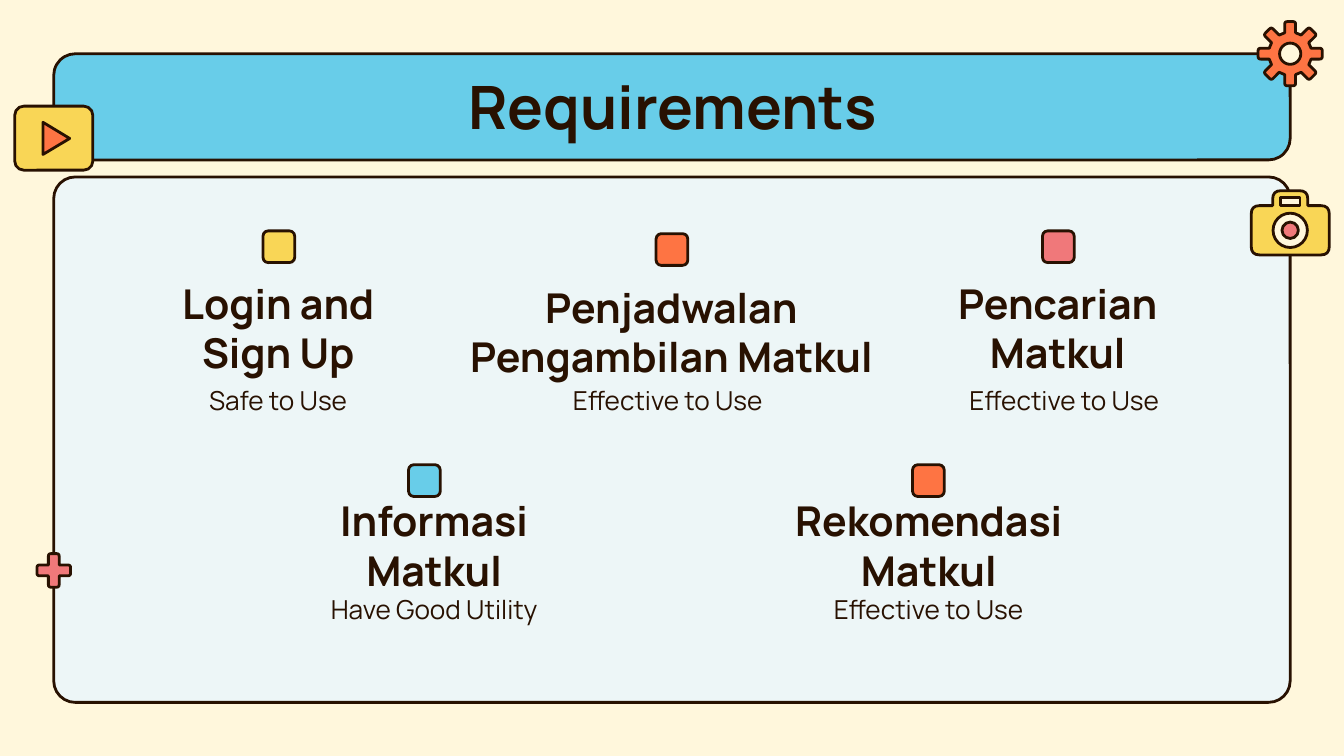
import dataclasses
import math
import pptx
import pptx.dml.color
import pptx.enum.shapes
import pptx.enum.text
import pptx.util

Pt = pptx.util.Pt
Kind = pptx.enum.shapes.MSO_SHAPE
Anchor = pptx.enum.text.MSO_ANCHOR
Points = list[tuple[float, float]]

HUES = {
    "cream": "FFF7DC",
    "mist": "EDF6F7",
    "ink": "281101",
    "sky": "68CDE9",
    "gold": "F9D656",
    "flame": "FE7443",
    "rose": "F0787A",
}
TITLE = {"name": "Manrope", "size": Pt(32), "bold": True}
HEAD = {"name": "Manrope", "size": Pt(22), "bold": True}
NOTE = {"name": "Manrope", "size": Pt(14), "bold": False}
FRAME = {
    "word_wrap": True,
    "auto_size": pptx.enum.text.MSO_AUTO_SIZE.NONE,
    "margin_left": Pt(7.2),
    "margin_right": Pt(7.2),
    "margin_top": Pt(7.2),
    "margin_bottom": Pt(7.2),
}


@dataclasses.dataclass
class Box:
    x: float
    y: float
    wide: float
    high: float

    def ends(self) -> list[int]:
        return [Pt(v) for v in (self.x, self.y, self.wide, self.high)]


@dataclasses.dataclass
class Card:
    hue: str
    chip: tuple[float, float]
    head: str
    place: Box
    note: str
    spot: tuple[float, float]


CARDS = [
    Card("gold", (149.4, 132.2), "Login and Sign Up", Box(67.7, 151.9, 162.7, 46.8),
         "Safe to Use", (149, 214.2)),
    Card("flame", (360, 133.7), "Penjadwalan Pengambilan Matkul", Box(218.9, 149, 281.5, 56.9),
         "Effective to Use", (357.8, 214.2)),
    Card("rose", (567, 132.2), "Pencarian Matkul", Box(485.3, 151.9, 162.7, 46.8),
         "Effective to Use", (570.2, 214.2)),
    Card("sky", (227.4, 257.5), "Informasi Matkul", Box(151.2, 277.2, 162.7, 29.5),
         "Have Good Utility", (232.6, 326.5)),
    Card("flame", (497.4, 257.5), "Rekomendasi Matkul", Box(405.4, 277.2, 184.3, 29.5),
         "Effective to Use", (497.5, 326.5)),
]


def tint(name: str) -> pptx.dml.color.RGBColor:
    return pptx.dml.color.RGBColor.from_string(HUES[name])


def mid(x: float, y: float, wide: float, high: float) -> Box:
    return Box(x - wide / 2, y - high / 2, wide, high)


def paint(shape, hue: str) -> None:
    shape.shadow.inherit = False
    shape.fill.solid()
    shape.fill.fore_color.rgb = tint(hue)
    shape.line.color.rgb = tint("ink")
    shape.line.width = Pt(1.5)


def block(slide, kind, box: Box, hue: str, bend: float | None = None) -> None:
    shape = slide.shapes.add_shape(kind, *box.ends())
    if bend is not None:
        shape.adjustments[0] = bend
    paint(shape, hue)


def shift(start: tuple[float, float], goal: tuple[float, float], gap: float) -> tuple[float, float]:
    part = gap / math.dist(start, goal)
    return tuple(a + (b - a) * part for a, b in zip(start, goal))


def smooth(points: Points, bend: float) -> Points:
    trace = []
    for i, here in enumerate(points):
        last, next_ = points[i - 1], points[(i + 1) % len(points)]
        turn = ((here[0] - last[0]) * (next_[1] - here[1])
                - (here[1] - last[1]) * (next_[0] - here[0]))
        if turn <= 0:
            trace.append(here)
            continue
        a, b = shift(here, last, bend), shift(here, next_, bend)
        for t in (0, 0.25, 0.5, 0.75, 1):
            trace.append(tuple((1 - t) ** 2 * p + 2 * t * (1 - t) * q + t * t * r
                               for p, q, r in zip(a, here, b)))
    return trace


def carve(slide, points: Points, hue: str, bend: float) -> None:
    trace = [(Pt(x), Pt(y)) for x, y in smooth(points, bend)]
    pen = slide.shapes.build_freeform(*trace[0])
    pen.add_line_segments(trace[1:], close=True)
    paint(pen.convert_to_shape(), hue)


def spin(x: float, y: float, count: int, tooth: Points) -> Points:
    points = []
    for i in range(count):
        turn = math.tau * i / count
        c, s = math.cos(turn), math.sin(turn)
        points += [(x + u * c - v * s, y + u * s + v * c) for u, v in tooth]
    return points


def write(shape, text: str, style: dict, anchor) -> None:
    frame = shape.text_frame
    for key, value in FRAME.items():
        setattr(frame, key, value)
    frame.vertical_anchor = anchor
    line = frame.paragraphs[0]
    line.alignment = pptx.enum.text.PP_ALIGN.CENTER
    run = line.add_run()
    run.text = text
    for key, value in style.items():
        setattr(run.font, key, value)
    run.font.color.rgb = tint("ink")


def label(slide, box: Box, text: str, style: dict) -> None:
    write(slide.shapes.add_textbox(*box.ends()), text, style, Anchor.MIDDLE)


def deal(slide, card: Card) -> None:
    label(slide, card.place, card.head, HEAD)
    label(slide, mid(*card.spot, 162.7, 48.2), card.note, NOTE)
    block(slide, Kind.ROUNDED_RECTANGLE, mid(*card.chip, 17, 17), card.hue, 0.167)


def head(slide) -> None:
    title = slide.shapes.title
    title.element.getparent().append(title.element)
    title.left, title.top, title.width, title.height = Box(56.9, 30.2, 607, 46.8).ends()
    write(title, "Requirements", TITLE, Anchor.TOP)


def player(slide) -> None:
    block(slide, Kind.ROUNDED_RECTANGLE, Box(7.9, 56.9, 41.8, 34.3), "gold", 0.14)
    carve(slide, [(23, 65.5), (37.4, 74.2), (23, 82.8)], "flame", 0.2)


def camera(slide) -> None:
    x = 691.2
    side = [(9.4, 102.2), (9.4, 110.2), (20.9, 110.2), (20.9, 136.6)]
    points = [(x + dx, y) for dx, y in side] + [(x - dx, y) for dx, y in reversed(side)]
    carve(slide, points, "gold", 4.5)
    block(slide, Kind.OVAL, mid(x, 123.4, 18.4, 18.4), "cream")
    block(slide, Kind.OVAL, mid(x, 123.4, 8.8, 8.8), "rose")
    block(slide, Kind.RECTANGLE, mid(x, 108, 10.4, 4.3), "cream")


def gear(slide) -> None:
    x, y = 691.2, 28.8
    tooth = [(11.2, -2.9), (17.2, -2.9), (17.2, 2.9), (11.2, 2.9)]
    carve(slide, spin(x, y, 8, tooth), "flame", 1.4)
    block(slide, Kind.OVAL, mid(x, y, 11.4, 11.4), "cream")


def main() -> None:
    deck = pptx.Presentation()
    deck.slide_width, deck.slide_height = Pt(720), Pt(405)
    slide = deck.slides.add_slide(deck.slide_layouts[5])
    slide.background.fill.solid()
    slide.background.fill.fore_color.rgb = tint("cream")
    block(slide, Kind.ROUNDED_RECTANGLE, Box(28.8, 94.8, 662.4, 281.5), "mist", 0.041)
    carve(slide, spin(28.8, 305.6, 4, [(2.9, -2.9), (9, -2.9), (9, 2.9)]), "rose", 1.4)
    block(slide, Kind.ROUNDED_RECTANGLE, Box(28.8, 28.8, 662.4, 56.9), "sky", 0.204)
    for card in CARDS:
        deal(slide, card)
    head(slide)
    player(slide)
    camera(slide)
    gear(slide)
    deck.save("out.pptx")


if __name__ == "__main__":
    main()
